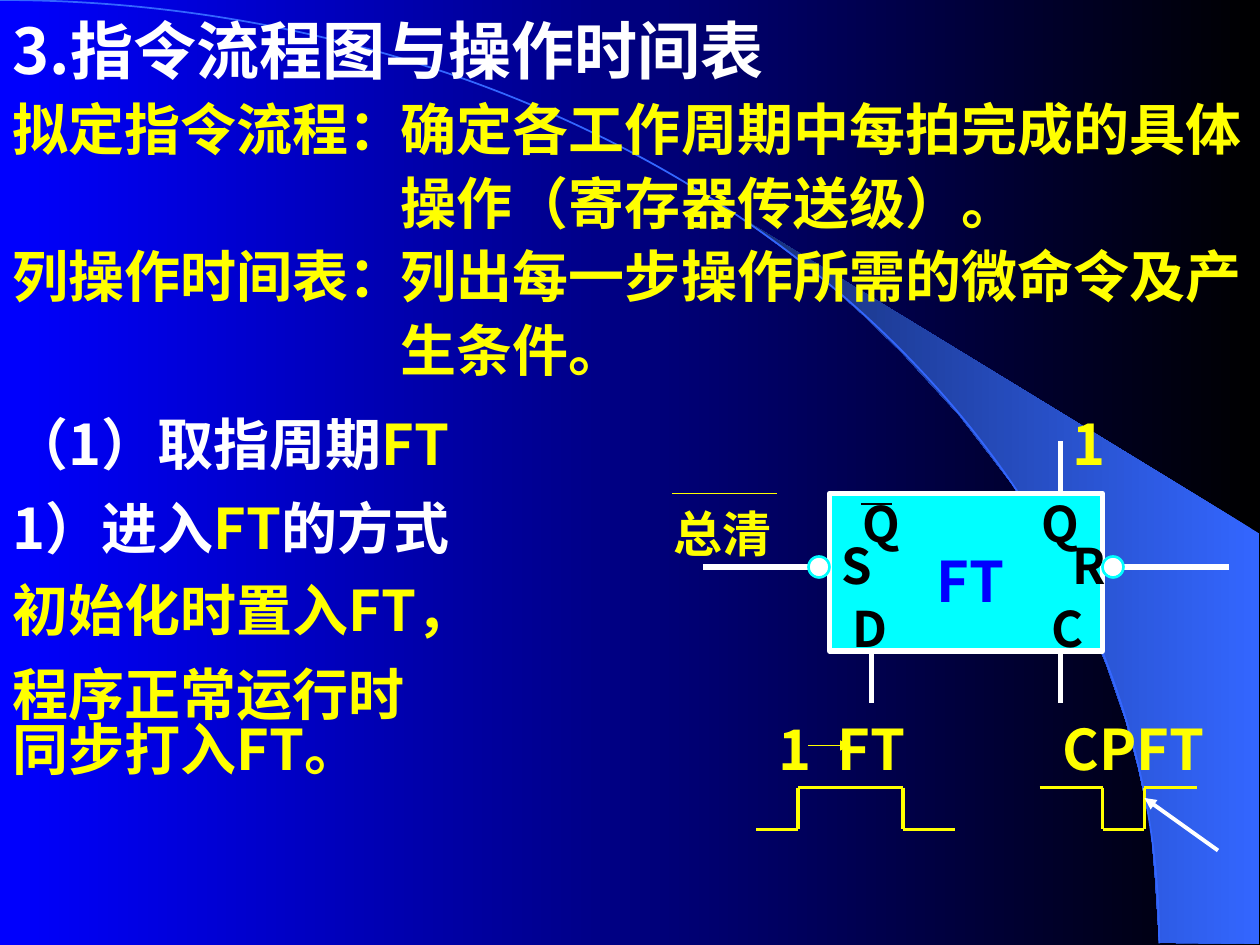
from dataclasses import dataclass
from itertools import pairwise

from lxml import etree
from pptx import Presentation
from pptx.dml.color import RGBColor
from pptx.enum.shapes import MSO_CONNECTOR, MSO_SHAPE
from pptx.enum.text import MSO_ANCHOR, MSO_AUTO_SIZE, PP_ALIGN
from pptx.oxml.ns import qn
from pptx.util import Emu, Pt

PX = 7620  # 120 px to the inch
STRAIGHT = MSO_CONNECTOR.STRAIGHT
RECTANGLE, OVAL, ARC = MSO_SHAPE.RECTANGLE, MSO_SHAPE.OVAL, MSO_SHAPE.ARC
TOP, LEFT = MSO_ANCHOR.TOP, PP_ALIGN.LEFT
NO_FIT = MSO_AUTO_SIZE.NONE
SANS, SERIF = "Noto Sans CJK SC", "Times New Roman"
COLORS = {
    "white": "FFFFFF", "yellow": "FFFF00", "black": "000000", "blue": "0000FF",
    "cyan": "00FFFF", "sky": "3366FF", "navy": "172F75",
}
LINE_HEIGHTS = {36: 46, 32: 41, 28: 36}


@dataclass
class Label:
    x: int
    y: int
    width: int
    height: int
    spans: list[tuple[str, str]]
    size: int = 32
    font: str = SANS
    line_height: int | None = None
    tab: int | None = None


@dataclass
class Route:
    points: list[tuple[int, int]]
    color: str
    weight: float
    arrow: str | None = None


def px(*lengths: int) -> list[Emu]:
    return [Emu(length * PX) for length in lengths]


def rgb(name: str) -> RGBColor:
    return RGBColor.from_string(COLORS[name])


def set_gradient(fill, start: str, end: str) -> None:
    fill.gradient()
    fill.gradient_angle = 180
    for stop, name in zip(fill.gradient_stops, (start, end)):
        stop.color.rgb = rgb(name)


def write_label(box, label: Label) -> None:
    box.left, box.top, box.width, box.height = px(
        label.x, label.y, label.width, label.height)
    frame = box.text_frame
    frame.word_wrap = True
    frame.auto_size = NO_FIT
    frame.vertical_anchor = TOP
    para = frame.paragraphs[0]
    para.alignment = LEFT
    para.space_before = Pt(0)
    para.line_spacing = Pt(label.line_height or LINE_HEIGHTS[label.size])
    if label.tab:
        tabs = etree.SubElement(para._p.get_or_add_pPr(), qn("a:tabLst"))
        etree.SubElement(tabs, qn("a:tab"), pos=str(label.tab * PX), algn="l")
    for text, color in label.spans:
        span = para.add_run()
        span.text = text
        span.font.size = Pt(label.size)
        span.font.bold = True
        span.font.name = label.font
        span.font.color.rgb = rgb(color)
        latin = span.font._element.find(qn("a:latin"))
        east_asian = etree.Element(qn("a:ea"), typeface=SANS)
        latin.addnext(east_asian)


def draw_route(shapes, route: Route) -> None:
    """Join successive points with straight connectors."""
    for start, end in pairwise(route.points):
        wire = shapes.add_connector(STRAIGHT, *px(*start, *end))
        wire.line.color.rgb = rgb(route.color)
        wire.line.width = Pt(route.weight)
        etree.SubElement(wire._element.spPr, qn("a:effectLst"))
        if route.arrow:
            outline = wire.line._get_or_add_ln()
            etree.SubElement(outline, qn(f"a:{route.arrow}"), type="triangle")


def draw_shape(shapes, kind, bounds: tuple[int, ...], fill: str | None,
               line: str, weight: float) -> None:
    shape = shapes.add_shape(kind, *px(*bounds))
    shape.shadow.inherit = False
    if fill:
        shape.fill.solid()
        shape.fill.fore_color.rgb = rgb(fill)
    else:
        shape.fill.background()
    shape.line.color.rgb = rgb(line)
    shape.line.width = Pt(weight)


def draw_beam(shapes) -> None:
    points = [
        (1104, 898), (1199, 899), (1199, 508), (707, 208), (749, 239),
        (784, 266), (822, 300), (859, 336), (914, 396), (964, 461),
        (998, 517), (1030, 575), (1054, 634), (1072, 686), (1084, 731),
        (1096, 787), (1100, 835),
    ]
    builder = shapes.build_freeform(*points[0], scale=float(PX))
    builder.add_line_segments(points[1:], close=True)
    beam = builder.convert_to_shape()
    beam.shadow.inherit = False
    set_gradient(beam.fill, "sky", "navy")
    beam.line.fill.background()


TITLE = Label(0, 0, 1000, 84, [("3.指令流程图与操作时间表", "white")], size=36)

TEXTS = [
    Label(0, 380, 500, 77, [("（1）取指周期", "white"), ("FT", "yellow")]),
    Label(0, 80, 460, 77, [("拟定指令流程：", "yellow")]),
    Label(0, 550, 540, 64, [("初始化时置入FT，", "yellow")], line_height=34),
    Label(370, 80, 1000, 77, [("确定各工作周期中每拍完成的具体", "yellow")]),
    Label(370, 150, 700, 77, [("操作（寄存器传送级）。", "yellow")]),
    Label(0, 220, 460, 77, [("列操作时间表：", "yellow")]),
    Label(370, 220, 1000, 77, [("列出每一步操作所需的微命令及产", "yellow")]),
    Label(370, 290, 430, 77, [("生条件。", "yellow")]),
    Label(0, 460, 520, 77,
          [("1）进入", "white"), ("FT", "yellow"), ("的方式", "white")]),
    Label(0, 635, 430, 115, [("程序正常运行时同步打入FT。", "yellow")],
          line_height=31),
]

PINS = [
    ("S", 790, 500), ("R", 1010, 500), ("D", 800, 560),
    ("C", 990, 560), ("Q", 980, 460), ("Q", 810, 460),
]

CIRCUIT_LABELS = [
    Label(880, 510, 140, 77, [("FT", "blue")]),
    *(Label(x, y, 120, 68, [(name, "black")], size=28) for name, x, y in PINS),
    Label(630, 470, 150, 68, [("总清", "yellow")], size=28, font=SERIF),
    Label(1010, 380, 130, 77, [("1", "yellow")]),
    Label(730, 670, 200, 77, [("1\tFT", "yellow")], tab=56),
    Label(1000, 670, 200, 77, [("CPFT", "yellow")]),
]

ROUTES = [
    Route([(820, 480), (850, 480)], "black", 1.5),
    Route([(1010, 420), (1010, 470)], "white", 3),
    Route([(830, 620), (830, 670)], "white", 3),
    Route([(1010, 620), (1010, 670)], "white", 3),
    Route([(1070, 540), (1170, 540)], "white", 3),
    Route([(670, 540), (770, 540)], "white", 3),
    Route([(640, 470), (740, 470)], "yellow", 1),
    Route([(770, 710), (810, 710)], "yellow", 1, "tailEnd"),
    Route([(720, 790), (760, 790), (760, 750), (860, 750), (860, 790),
           (910, 790)], "yellow", 2.25),
    Route([(990, 750), (1050, 750), (1050, 790), (1090, 790), (1090, 750),
           (1140, 750)], "yellow", 2.25),
    Route([(1090, 760), (1160, 810)], "white", 2.25, "headEnd"),
]


def main() -> None:
    deck = Presentation()
    deck.slide_width, deck.slide_height = px(1200, 900)
    page = deck.slides.add_slide(deck.slide_layouts[5])
    shapes = page.shapes
    set_gradient(page.background.fill, "black", "blue")
    draw_beam(shapes)
    draw_shape(shapes, ARC, (-1104, 0, 2208, 1797), None, "sky", 1)

    title = shapes.title
    title.element.getparent().append(title.element)  # in front of the backdrop
    write_label(title, TITLE)
    for label in TEXTS:
        write_label(shapes.add_textbox(*px(0, 0, 0, 0)), label)

    draw_shape(shapes, RECTANGLE, (790, 470, 260, 150), "cyan", "white", 3)
    for label in CIRCUIT_LABELS:
        write_label(shapes.add_textbox(*px(0, 0, 0, 0)), label)
    for route in ROUTES:
        draw_route(shapes, route)
    for left in (770, 1050):
        draw_shape(shapes, OVAL, (left, 530, 20, 20), "white", "cyan", 1.5)
    deck.save("out.pptx")


if __name__ == "__main__":
    main()
